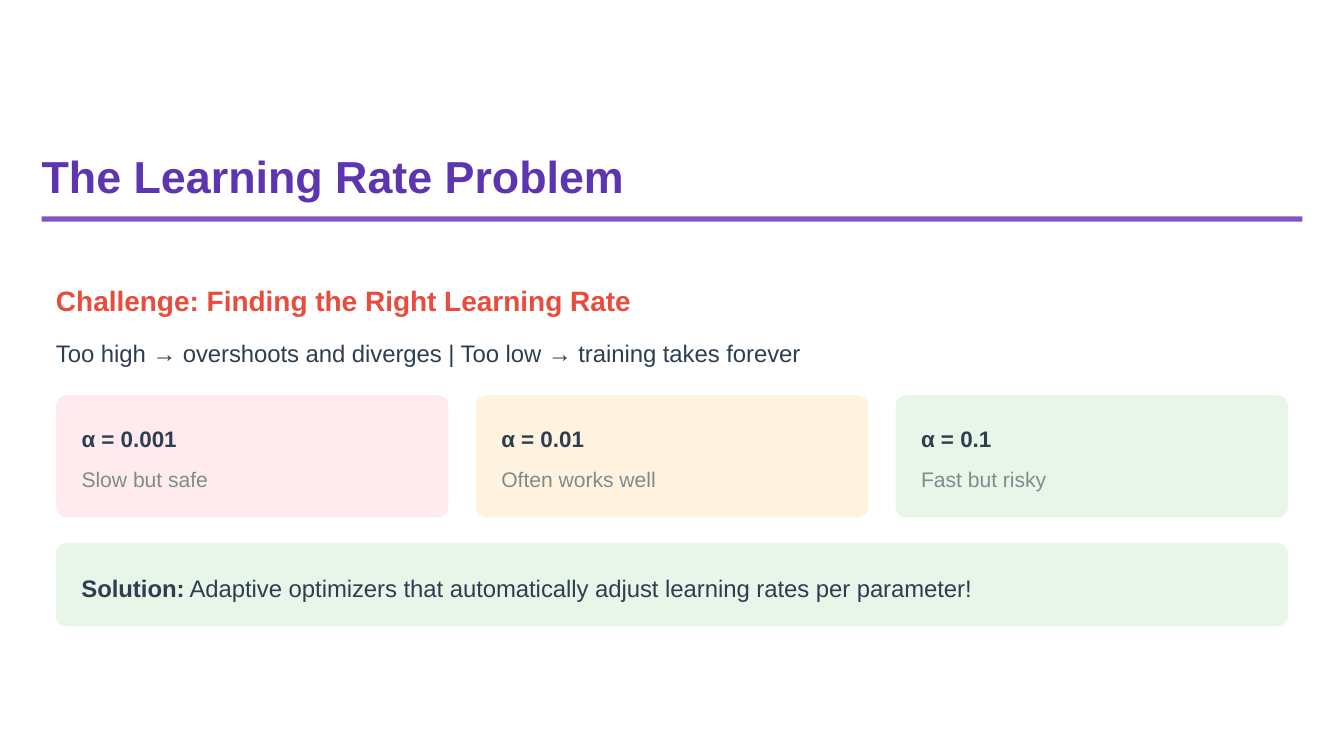
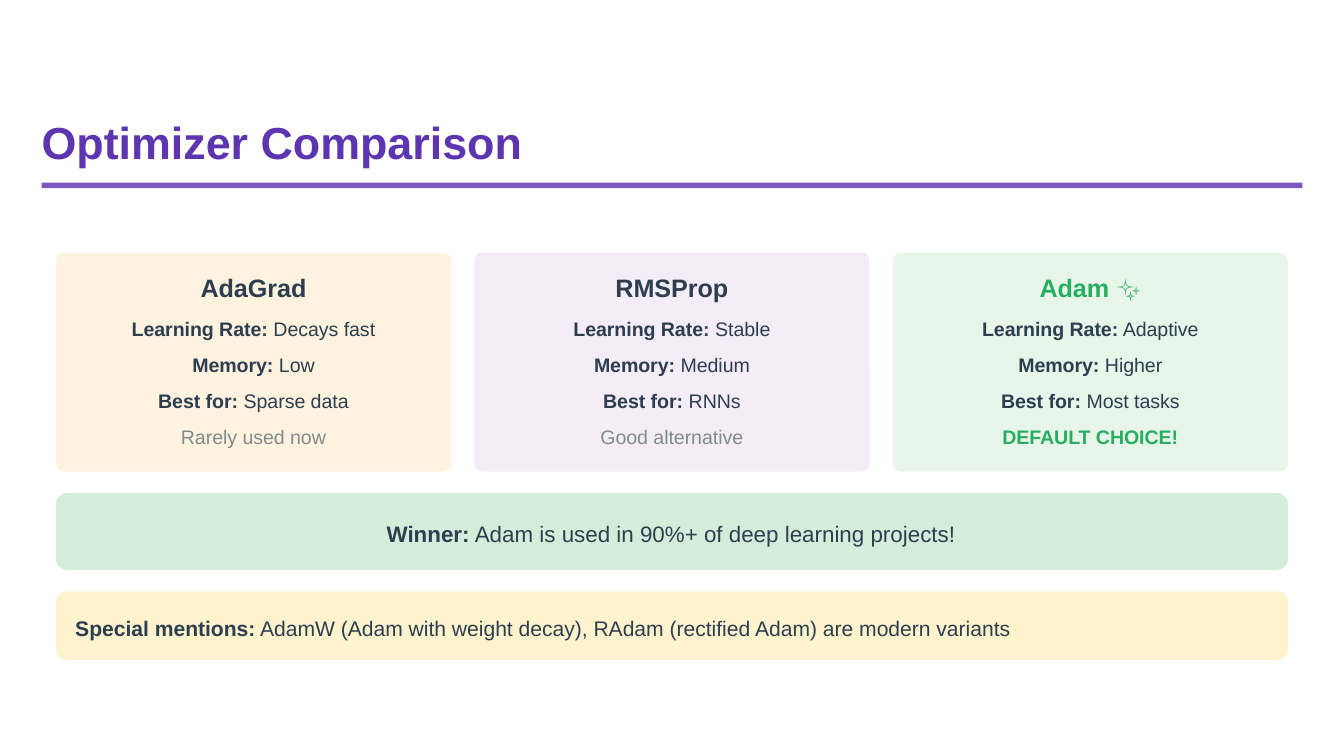
import pptx
import pptx.util
import pptx.dml.color
import pptx.enum.shapes
import pptx.enum.text

Inches = pptx.util.Inches
SHAPE = pptx.enum.shapes.MSO_SHAPE
LEFT = pptx.enum.text.PP_ALIGN.LEFT
MID = pptx.enum.text.PP_ALIGN.CENTER
HUES = {
    "title": "5E35B1", "rule": "7E57C2", "alert": "E74C3C", "ink": "2C3E50",
    "gray": "7F8C8D", "green": "27AE60", "white": "FFFFFF", "pink": "FFEBEE",
    "peach": "FFF3E0", "mint": "E8F5E9", "lilac": "F4ECF7", "win": "D4EDDA",
    "cream": "FFF3CD",
}
EDGE = 5 / 12
WIDE = 10 - 2 * EDGE


def panel(slide, left, top, width, height, hue, round=0):
    kind = SHAPE.ROUNDED_RECTANGLE if round else SHAPE.RECTANGLE
    shape = slide.shapes.add_shape(
        kind, Inches(left), Inches(top), Inches(width), Inches(height))
    if round:
        shape.adjustments[0] = round / min(width, height)
    shape.shadow.inherit = False
    shape.fill.solid()
    shape.fill.fore_color.rgb = pptx.dml.color.RGBColor.from_string(HUES[hue])
    shape.line.fill.background()


def label(slide, left, top, width, height, text, size, line,
          hue="ink", bold=False, lead="", align=LEFT):
    box = slide.shapes.add_textbox(
        Inches(left), Inches(top), Inches(width), Inches(height))
    frame = box.text_frame
    frame.word_wrap = True
    frame.margin_left = frame.margin_right = 0
    frame.margin_top = frame.margin_bottom = 0
    para = frame.paragraphs[0]
    para.alignment = align
    para.line_spacing = pptx.util.Pt(line)
    para.font.name = "Arial"
    para.font.size = pptx.util.Pt(size)
    para.font.bold = bold
    para.font.color.rgb = pptx.dml.color.RGBColor.from_string(HUES[hue])
    if lead:
        run = para.add_run()
        run.text = lead
        run.font.bold = True
        text = " " + text
    para.add_run().text = text


deck = pptx.Presentation()
deck.slide_width = Inches(10)
deck.slide_height = Inches(10 * 9 / 16)

pages = []
for title, top in [("The Learning Rate Problem", 1.17),
                   ("Optimizer Comparison", 0.92)]:
    page = deck.slides.add_slide(deck.slide_layouts[6])
    page.background.fill.solid()
    page.background.fill.fore_color.rgb = (
        pptx.dml.color.RGBColor.from_string(HUES["white"]))
    label(page, 0.31, top, 4.79, 0.33, title, 24, 24, "title", True)
    panel(page, 0.31, top + 0.44, 9.38, 0.04, "rule")
    pages.append(page)
rates, compare = pages

label(rates, EDGE, 2.13, 4.69, 0.23, "Challenge: Finding the Right Learning Rate",
      15, 16.7, "alert", True)
label(rates, EDGE, 2.47, 9.35, 0.27,
      "Too high → overshoots and diverges | Too low → training takes forever",
      12.75, 19.1)
cards = [
    ("α = 0.001", "Slow but safe", "pink"),
    ("α = 0.01", "Often works well", "peach"),
    ("α = 0.1", "Fast but risky", "mint"),
]
width = 2.92
step = (WIDE - width) / 2
for i, (rate, note, hue) in enumerate(cards):
    left = EDGE + i * step
    panel(rates, left, 2.94, width, 0.91, hue, 0.08)
    label(rates, left + 0.19, 3.13, 2.59, 0.23, rate, 12, 16.8, bold=True)
    label(rates, left + 0.19, 3.44, 2.59, 0.22, note, 11.25, 15.75, "gray")
panel(rates, EDGE, 4.04, WIDE, 0.62, "mint", 0.08)
label(rates, EDGE + 0.19, 4.23, 8.97, 0.25,
      "Adaptive optimizers that automatically adjust learning rates per parameter!",
      12.75, 17.85, lead="Solution:")

cards = [
    ("AdaGrad", "peach", "ink", ["Decays fast", "Low", "Sparse data"],
     "Rarely used now", "gray"),
    ("RMSProp", "lilac", "ink", ["Stable", "Medium", "RNNs"],
     "Good alternative", "gray"),
    ("Adam ✨", "mint", "green", ["Adaptive", "Higher", "Most tasks"],
     "DEFAULT CHOICE!", "green"),
]
leads = ["Learning Rate:", "Memory:", "Best for:"]
width = 2.94
step = (WIDE - width) / 2
drop = 0.8 / 3
for i, (name, back, front, facts, note, tone) in enumerate(cards):
    left = EDGE + i * step
    panel(compare, left, 1.88, width, 1.63, back, 0.06)
    label(compare, left + 0.8, 2.04, 1.34, 0.21, name, 13.5, 15, front, True,
          align=MID)
    for j, (lead, fact) in enumerate(zip(leads, facts)):
        label(compare, left + 0.14, 2.33 + j * drop, 2.66, 0.2, fact,
              10.5, 14.7, lead=lead, align=MID)
    label(compare, left + 0.14, 2.33 + 3 * drop, 2.66, 0.2, note, 10.5, 14.7,
          tone, tone == "green", align=MID)
panel(compare, EDGE, 3.67, WIDE, 0.57, "win", 0.08)
label(compare, 0.49, 3.84, 9.01, 0.23,
      "Adam is used in 90%+ of deep learning projects!",
      12, 16.8, lead="Winner:", align=MID)
panel(compare, EDGE, 4.4, WIDE, 0.51, "cream", 0.08)
label(compare, 0.56, 4.55, 9.05, 0.22,
      "AdamW (Adam with weight decay), RAdam (rectified Adam) are modern variants",
      11.25, 15.75, lead="Special mentions:")

deck.save("out.pptx")
